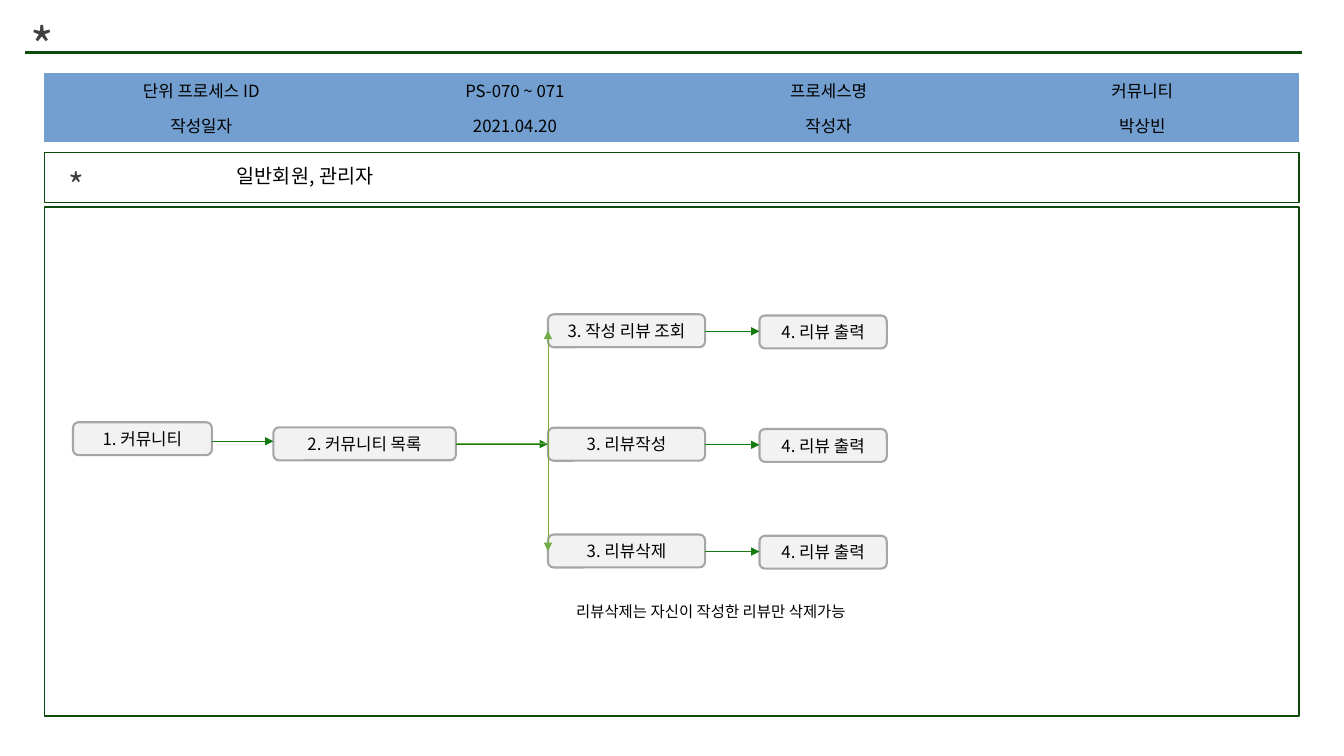
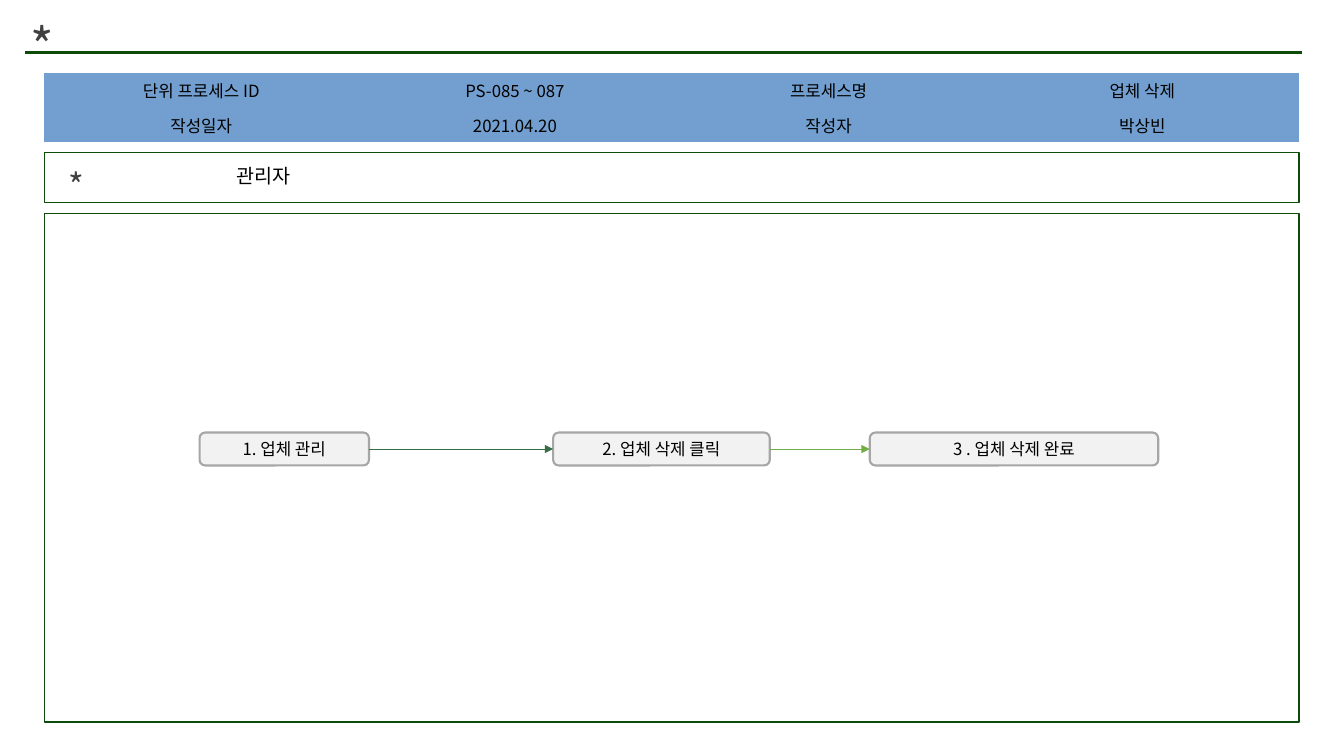
from lxml.etree import SubElement
from pptx import Presentation
from pptx.dml.color import RGBColor
from pptx.enum.shapes import MSO_CONNECTOR as Link, MSO_SHAPE as Preset
from pptx.enum.text import MSO_ANCHOR as Anchor, PP_ALIGN as Align
from pptx.oxml.ns import qn
from pptx.util import Cm, Pt

# Shared look
FONT = "Noto Sans CJK KR"
BLACK, STAR_GRAY = "000000", "404040"
FRAME_GREEN, HEADER_BLUE = "0C4B09", "729FCF"
STEP_FILL, STEP_LINE = "F2F2F2", "A6A6A6"
ARROW_GREEN, BRANCH_GREEN, DEEP_GREEN = "147B0F", "70AD47", "366E45"
NO_GRID_STYLE = "{2D5ABB26-0587-4C30-8999-92F81FD0307C}"

# Shared layout, in centimetres
MARGIN, CONTENT_WIDTH = 1.12, 31.62
HEADER_TOP, HEADER_ROW = 1.84, 0.87
ACTOR_TOP, ACTOR_HEIGHT = 3.84, 1.27
FLOW_HEIGHT, STEP_HEIGHT = 12.82, 0.83


def color(hex_code):
    return RGBColor.from_string(hex_code)


def write(frame, text, size, ink=BLACK, align=Align.LEFT):
    paragraph = frame.paragraphs[0]
    paragraph.alignment = align
    run = paragraph.add_run()
    run.text = text
    run.font.size = Pt(size)
    run.font.name = FONT
    run.font.color.rgb = color(ink)
    SubElement(run.font._element, qn("a:ea")).set("typeface", FONT)


def add_text(slide, text, left, top, width, height, size, ink=BLACK):
    frame = slide.shapes.add_textbox(Cm(left), Cm(top), Cm(width), Cm(height)).text_frame
    frame.word_wrap = True
    write(frame, text, size, ink)


def add_panel(slide, top, height):
    panel = slide.shapes.add_shape(
        Preset.RECTANGLE, Cm(MARGIN), Cm(top), Cm(CONTENT_WIDTH), Cm(height))
    panel.shadow.inherit = False
    panel.fill.background()
    panel.line.color.rgb = color(FRAME_GREEN)
    panel.line.width = Pt(1)


def add_step(slide, text, left, top, width):
    step = slide.shapes.add_shape(
        Preset.ROUNDED_RECTANGLE, Cm(left), Cm(top), Cm(width), Cm(STEP_HEIGHT))
    step.adjustments[0] = 0.17
    step.shadow.inherit = False
    step.fill.solid()
    step.fill.fore_color.rgb = color(STEP_FILL)
    step.line.color.rgb = color(STEP_LINE)
    step.line.width = Pt(1.5)
    frame = step.text_frame
    frame.word_wrap = True
    frame.vertical_anchor = Anchor.MIDDLE
    frame.margin_left = frame.margin_right = Cm(0.1)
    frame.margin_top = frame.margin_bottom = Cm(0.1)
    write(frame, text, 12, align=Align.CENTER)
    return step


def add_line(slide, kind, start, end, ink, width):
    line = slide.shapes.add_connector(kind, *start, *end)
    line.line.color.rgb = color(ink)
    line.line.width = Pt(width)
    SubElement(line._element.spPr, qn("a:effectLst"))
    return line


def add_arrow(slide, source, target, ink, branch=False):
    """Join the right side of one step to the left side of another."""
    start_y = source.top + source.height // 2
    end_y = target.top + target.height // 2
    if not branch:
        start_y = end_y = (start_y + end_y) // 2
    arrow = add_line(slide, Link.ELBOW if branch else Link.STRAIGHT,
                     (source.left + source.width, start_y), (target.left, end_y), ink, 0.5)
    if branch:  # one bend: across, then up or down
        arrow._element.spPr.find(qn("a:prstGeom")).set("prst", "bentConnector2")
    SubElement(arrow.line._get_or_add_ln(), qn("a:tailEnd")).set("type", "triangle")


def add_header(slide, rows):
    table = slide.shapes.add_table(
        len(rows), len(rows[0]), Cm(MARGIN), Cm(HEADER_TOP),
        Cm(CONTENT_WIDTH), Cm(HEADER_ROW * len(rows))).table
    table.first_row = table.horz_banding = False
    table._tbl.tblPr.find(qn("a:tableStyleId")).text = NO_GRID_STYLE
    for r, row in enumerate(rows):
        for c, text in enumerate(row):
            cell = table.cell(r, c)
            cell.fill.solid()
            cell.fill.fore_color.rgb = color(HEADER_BLUE)
            write(cell.text_frame, text, 12, align=Align.CENTER)


def add_process_slide(prs, process_id, process, actors, flow_top):
    slide = prs.slides.add_slide(prs.slide_layouts[6])
    # Title band
    add_line(slide, Link.STRAIGHT, (Cm(0.64), Cm(1.32)), (Cm(32.82), Cm(1.32)),
             FRAME_GREEN, 2.25)
    add_text(slide, "*", 0.51, 0.25, 1.32, 1.98, 36, STAR_GRAY)
    # Process facts
    add_header(slide, [["단위 프로세스 ID", process_id, "프로세스명", process],
                       ["작성일자", "2021.04.20", "작성자", "박상빈"]])
    # Actors and flow frame
    add_text(slide, "*", 1.47, 4.04, 1.32, 1.4, 24, STAR_GRAY)
    add_panel(slide, ACTOR_TOP, ACTOR_HEIGHT)
    add_text(slide, actors, 5.72, 4.01, 10.97, 0.97, 14)
    add_panel(slide, flow_top, FLOW_HEIGHT)
    return slide


def add_community(prs):
    slide = add_process_slide(prs, "PS-070 ~ 071", "커뮤니티", "일반회원, 관리자", 5.22)
    community = add_step(slide, "1. 커뮤니티", 1.84, 10.64, 3.5)
    listing = add_step(slide, "2. 커뮤니티 목록", 6.89, 10.77, 4.6)
    add_arrow(slide, community, listing, ARROW_GREEN)
    # Review actions, each with its output
    actions = []
    for text, top in [("3. 작성 리뷰 조회", 7.92), ("3. 리뷰작성", 10.78), ("3. 리뷰삭제", 13.47)]:
        action = add_step(slide, text, 13.81, top, 3.96)
        output = add_step(slide, "4. 리뷰 출력", 19.14, top + 0.03, 3.21)
        add_arrow(slide, action, output, ARROW_GREEN)
        actions.append(action)
    view, compose, delete = actions
    add_arrow(slide, listing, compose, ARROW_GREEN)
    for action in (view, delete):
        add_arrow(slide, listing, action, BRANCH_GREEN, branch=True)
    add_text(slide, "리뷰삭제는 자신이 작성한 리뷰만 삭제가능", 14.27, 15.04, 8.38, 0.81, 11)


def add_company_removal(prs):
    slide = add_process_slide(prs, "PS-085 ~ 087", "업체 삭제", "관리자", 5.38)
    manage, click, done = [
        add_step(slide, text, left, 10.9, width)
        for text, left, width in [("1. 업체 관리", 5.03, 4.27),
                                  ("2. 업체 삭제 클릭", 13.94, 5.46),
                                  ("3 . 업체 삭제 완료", 21.92, 7.27)]]
    add_arrow(slide, manage, click, DEEP_GREEN)
    add_arrow(slide, click, done, BRANCH_GREEN)


def main():
    prs = Presentation()
    prs.slide_width, prs.slide_height = Cm(33.87), Cm(19.05)
    add_community(prs)
    add_company_removal(prs)
    prs.save("out.pptx")


if __name__ == "__main__":
    main()
